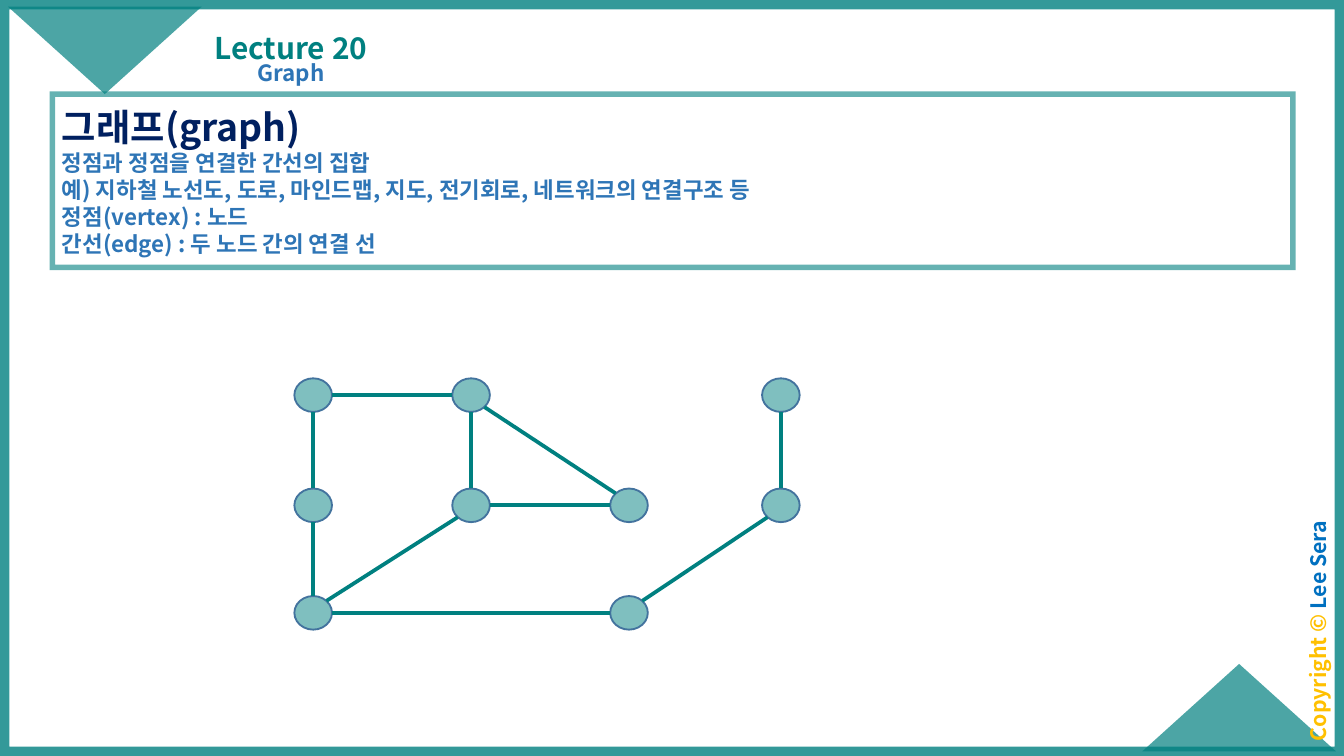
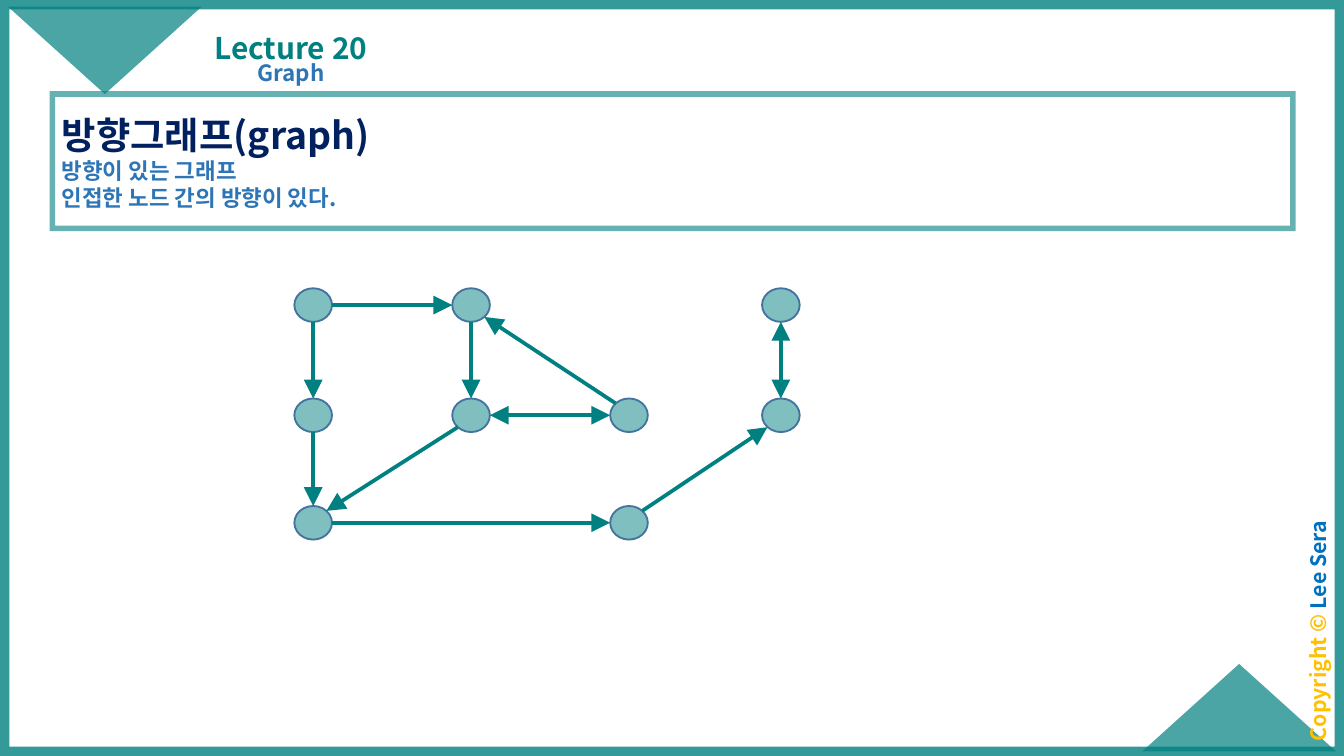
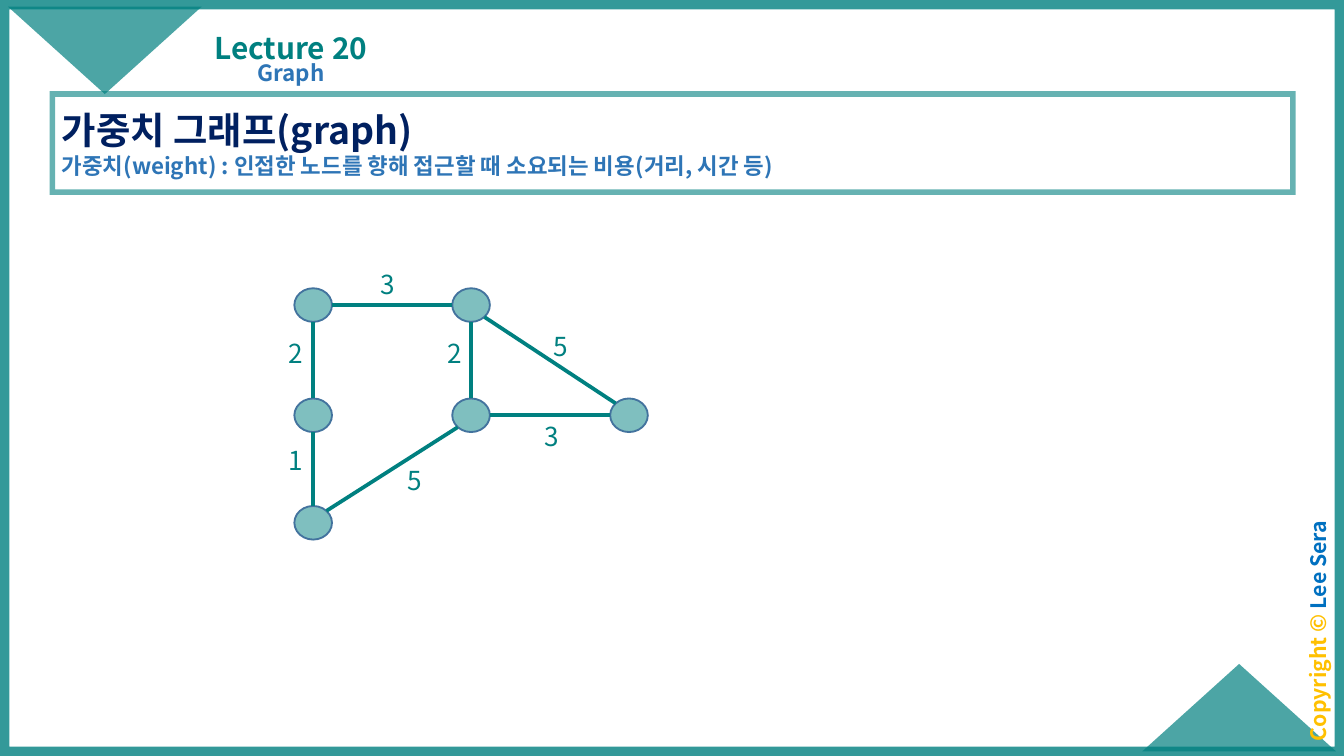
from lxml import etree
from pptx import Presentation
from pptx.dml.color import RGBColor
from pptx.enum.shapes import MSO_CONNECTOR, MSO_SHAPE
from pptx.enum.text import MSO_ANCHOR, MSO_AUTO_SIZE, PP_ALIGN
from pptx.oxml.ns import qn
from pptx.util import Inches, Pt

COLORS = {
    "teal": "008080",
    "navy": "002060",
    "blue": "2E75B6",
    "outline": "43739E",
    "gold": "FFC000",
    "author": "0070C0",
}
FONT = "Noto Sans CJK KR"
SLIDE_WIDTH = 10
SLIDE_HEIGHT = SLIDE_WIDTH * 9 / 16
NODE_WIDTH, NODE_HEIGHT = 0.28, 0.25
DIAGONAL = 0.71  # share of the radius reached at 45 degrees

# Graph grid: node centres by column, and by row below the first row
COLUMNS = [2.33, (2.33 + 4.68) / 2, 4.68, 5.81]
ROWS = [0, 0.82, 1.62]
NODES = {
    "A": (0, 0), "B": (1, 0), "G": (3, 0),
    "C": (0, 1), "D": (1, 1), "E": (2, 1), "F": (3, 1),
    "I": (0, 2), "H": (2, 2),
}
# Each edge runs from the node it points at to the node it leaves
EDGES = ["BA", "CA", "DB", "ED", "ID", "IC", "HI", "GF", "FH", "BE"]
TWO_WAY = ["ED", "GF"]
# Weight of an edge, then left and top of its label
WEIGHTS = [
    ("3", 2.73, 1.95),
    ("2", 2.05, 2.46),
    ("1", 2.05, 3.26),
    ("5", 2.93, 3.41),
    ("5", 4.02, 2.41),
    ("2", 3.23, 2.46),
    ("3", 3.95, 3.08),
]


def add_span(para, text, size=12, color="blue", bold=True):
    span = para.add_run()
    span.text = text
    span.font.size = Pt(size)
    span.font.bold = bold
    span.font.name = FONT
    span.font.color.rgb = RGBColor.from_string(COLORS[color])
    properties = span.font._element
    properties.set("kern", "0")
    etree.SubElement(properties, qn("a:ea")).set("typeface", FONT)


def set_opacity(fill_parent, percent):
    for color in fill_parent.iter(qn("a:srgbClr")):
        etree.SubElement(color, qn("a:alpha")).set("val", str(percent * 1000))


class LectureDeck:
    def __init__(self):
        self.deck = Presentation()
        self.deck.slide_width = Inches(SLIDE_WIDTH)
        self.deck.slide_height = Inches(SLIDE_HEIGHT)
        self.page = None

    def shape(self, kind, left, top, width, height, fill=None, fill_opacity=100,
              line=None, line_width=1, line_opacity=100, rotation=0):
        item = self.page.shapes.add_shape(
            kind, Inches(left), Inches(top), Inches(width), Inches(height))
        item.shadow.inherit = False
        item.rotation = rotation
        if line:
            item.line.color.rgb = RGBColor.from_string(COLORS[line])
            item.line.width = Pt(line_width)
            set_opacity(item.line._ln, line_opacity)
            etree.SubElement(item.line._ln, qn("a:miter")).set("lim", "800000")
        else:
            item.line.fill.background()
        if fill:
            item.fill.solid()
            item.fill.fore_color.rgb = RGBColor.from_string(COLORS[fill])
            set_opacity(item._element.spPr.find(qn("a:solidFill")), fill_opacity)
        else:
            item.fill.background()
        return item

    def frame_text(self, item, anchor=MSO_ANCHOR.TOP):
        frame = item.text_frame
        frame.word_wrap = True
        frame.vertical_anchor = anchor
        frame.margin_left = frame.margin_right = Inches(0.07)
        frame.margin_top = frame.margin_bottom = Inches(0.04)
        return frame

    def caption(self, left, top, width, height, spans, anchor=MSO_ANCHOR.TOP,
                spacing=0.9, before=0, rotation=0):
        box = self.page.shapes.add_textbox(
            Inches(left), Inches(top), Inches(width), Inches(height))
        box.rotation = rotation
        para = self.frame_text(box, anchor).paragraphs[0]
        para.alignment = PP_ALIGN.CENTER
        para.line_spacing = spacing
        para.space_before = Pt(before)
        for text, size, color in spans:
            add_span(para, text, size=size, color=color)

    def start_page(self, heading, lines, box_height):
        self.page = self.deck.slides.add_slide(self.deck.slide_layouts[6])
        # Border and corner triangles
        self.shape(MSO_SHAPE.RECTANGLE, 0, 0, SLIDE_WIDTH, SLIDE_HEIGHT,
                   line="teal", line_width=10, line_opacity=80)
        for left, top, rotation in [(8.5, 4.94, 0), (0.06, 0.05, 180)]:
            self.shape(MSO_SHAPE.ISOSCELES_TRIANGLE, left, top, 1.44, 0.65,
                       fill="teal", fill_opacity=70, rotation=rotation)
        # Copyright on the right edge
        self.caption(8.92, 4.57, 1.86, 0.25,
                     [("Copyright © ", 11.4, "gold"), ("Lee Sera", 11.4, "author")],
                     spacing=0.7, before=10, rotation=270)
        # Definition box
        box = self.shape(MSO_SHAPE.RECTANGLE, 0.39, 0.7, 9.23, box_height,
                         line="teal", line_width=3, line_opacity=60)
        frame = self.frame_text(box, MSO_ANCHOR.MIDDLE)
        add_span(frame.paragraphs[0], heading, size=20, color="navy")
        for line in lines:
            add_span(frame.add_paragraph(), line)
        for para in frame.paragraphs:
            para.alignment = PP_ALIGN.LEFT
        # Lecture title
        self.caption(1.4, 0.06, 1.53, 0.47, [("Lecture 20", 16, "teal")],
                     anchor=MSO_ANCHOR.BOTTOM)
        self.caption(1.1, 0.42, 2.13, 0.34, [("Graph", 12, "blue")], before=7.5)

    def edge(self, start, end, arrows=()):
        (x1, y1), (x2, y2) = start, end
        step_x = (x2 > x1) - (x2 < x1)
        step_y = (y2 > y1) - (y2 < y1)
        reach = DIAGONAL if step_x and step_y else 1
        shift_x = step_x * reach * NODE_WIDTH / 2
        shift_y = step_y * reach * NODE_HEIGHT / 2
        link = self.page.shapes.add_connector(
            MSO_CONNECTOR.STRAIGHT,
            Inches(x1 + shift_x), Inches(y1 + shift_y),
            Inches(x2 - shift_x), Inches(y2 - shift_y))
        link.line.color.rgb = RGBColor.from_string(COLORS["teal"])
        link.line.width = Pt(2)
        for arrow in arrows:
            etree.SubElement(link.line._ln, qn(arrow), type="triangle", w="lg", len="lg")
        etree.SubElement(link._element.spPr, qn("a:effectLst"))

    def graph(self, first_row, names=tuple(NODES), directed=False):
        centers = {name: (COLUMNS[NODES[name][0]], first_row + ROWS[NODES[name][1]])
                   for name in names}
        for x, y in centers.values():
            self.shape(MSO_SHAPE.OVAL, x - NODE_WIDTH / 2, y - NODE_HEIGHT / 2,
                       NODE_WIDTH, NODE_HEIGHT, fill="teal", fill_opacity=50,
                       line="outline")
        for pair in EDGES:
            if not set(pair) <= set(names):
                continue
            arrows = []
            if directed:
                arrows = ["a:headEnd", "a:tailEnd"] if pair in TWO_WAY else ["a:headEnd"]
            self.edge(centers[pair[0]], centers[pair[1]], arrows)

    def weight(self, text, left, top):
        box = self.page.shapes.add_textbox(
            Inches(left), Inches(top), Inches(0.28), Inches(0.34))
        box.text_frame.word_wrap = True
        box.text_frame.auto_size = MSO_AUTO_SIZE.SHAPE_TO_FIT_TEXT
        add_span(box.text_frame.paragraphs[0], text, size=14, color="teal", bold=False)


def main():
    lecture = LectureDeck()

    # Graph
    lecture.start_page("그래프(graph)", [
        "정점과 정점을 연결한 간선의 집합",
        "예) 지하철 노선도, 도로, 마인드맵, 지도, 전기회로, 네트워크의 연결구조 등",
        "정점(vertex) : 노드",
        "간선(edge) : 두 노드 간의 연결 선",
    ], box_height=1.29)
    lecture.graph(first_row=2.94)

    # Directed graph
    lecture.start_page("방향그래프(graph)", [
        "방향이 있는 그래프",
        "인접한 노드 간의 방향이 있다.",
    ], box_height=1)
    lecture.graph(first_row=2.27, directed=True)

    # Weighted graph
    lecture.start_page("가중치 그래프(graph)", [
        "가중치(weight) : 인접한 노드를 향해 접근할 때 소요되는 비용(거리, 시간 등)",
    ], box_height=0.73)
    lecture.graph(first_row=2.27, names="ABCDEI")
    for text, left, top in WEIGHTS:
        lecture.weight(text, left, top)

    lecture.deck.save("out.pptx")


if __name__ == "__main__":
    main()
